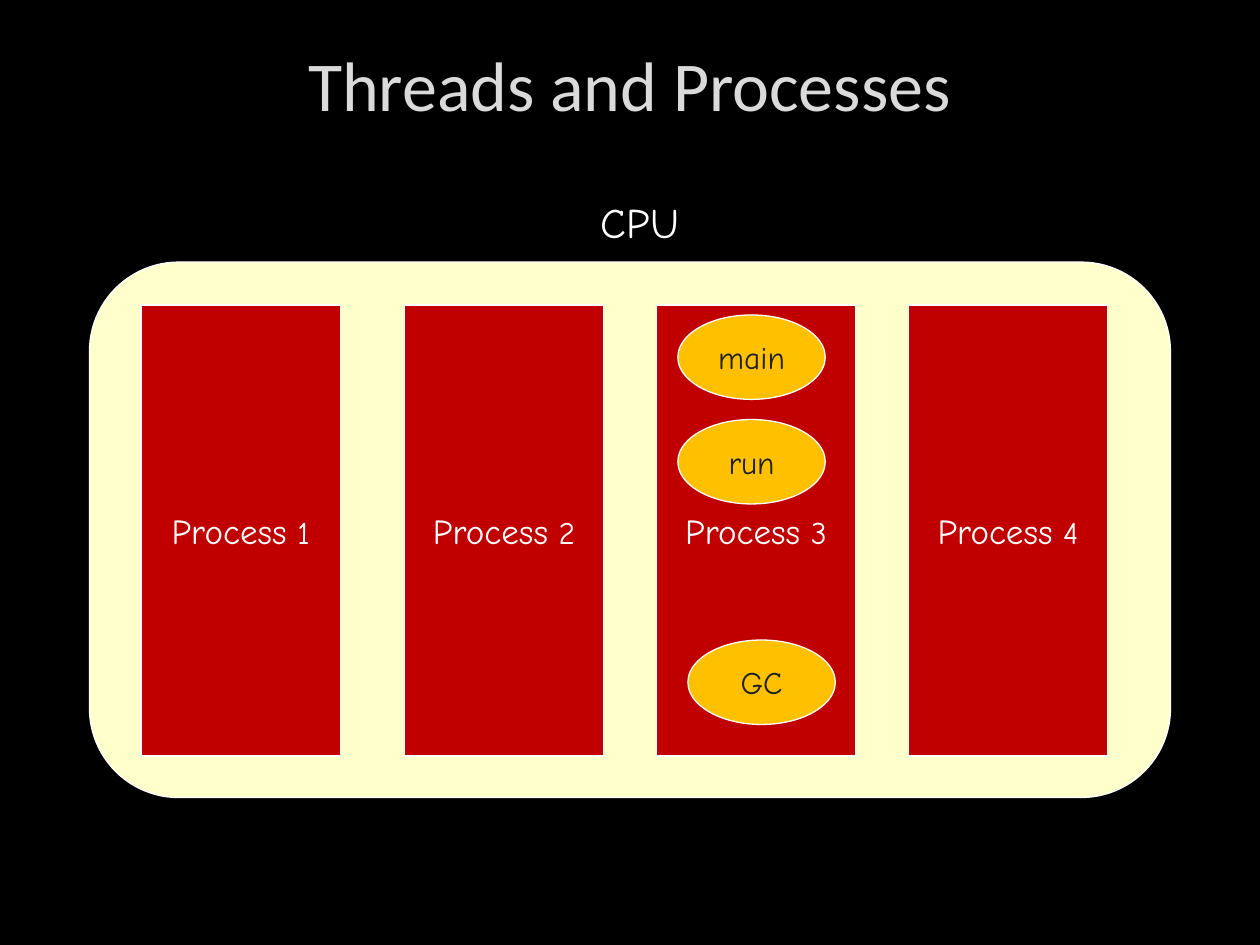
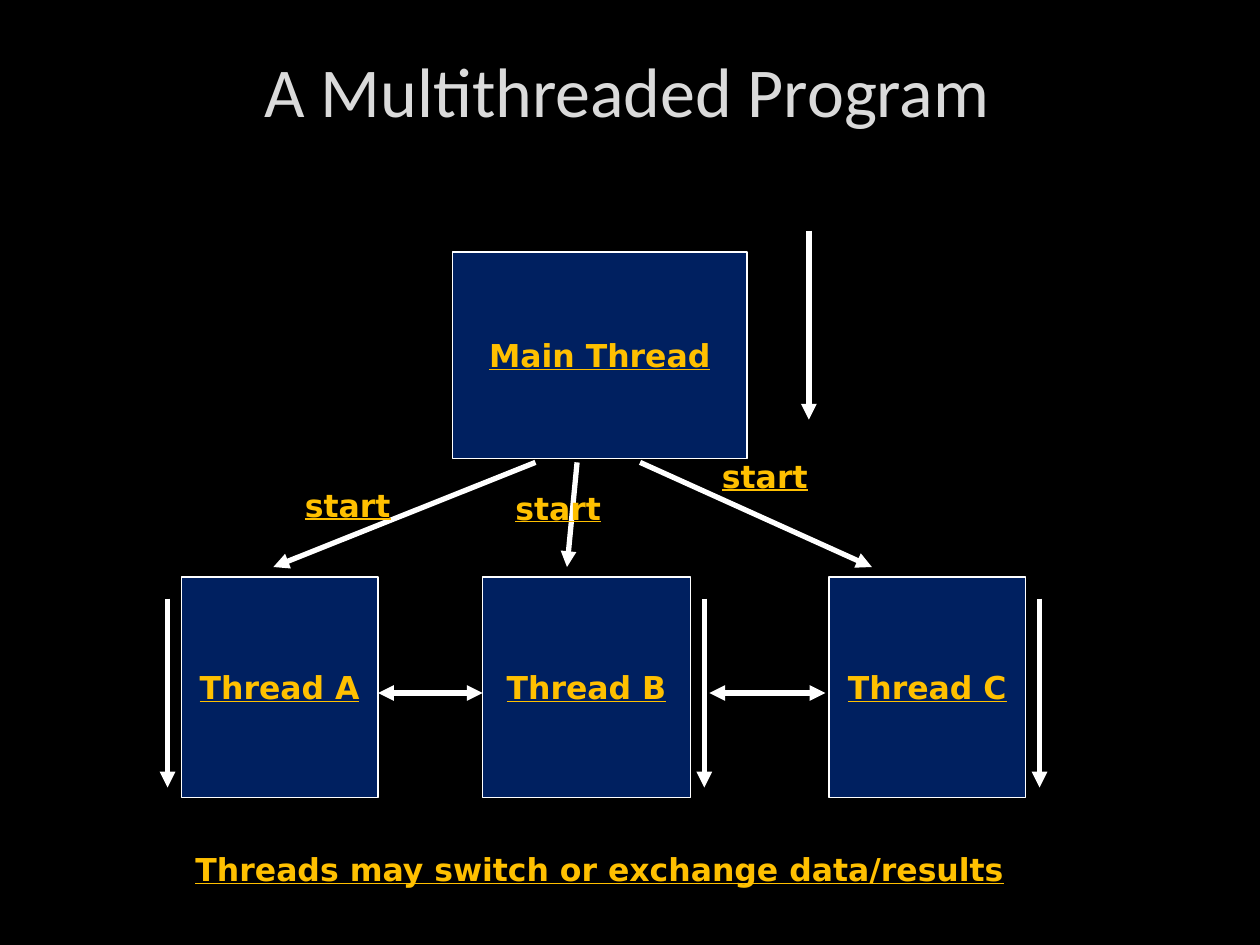
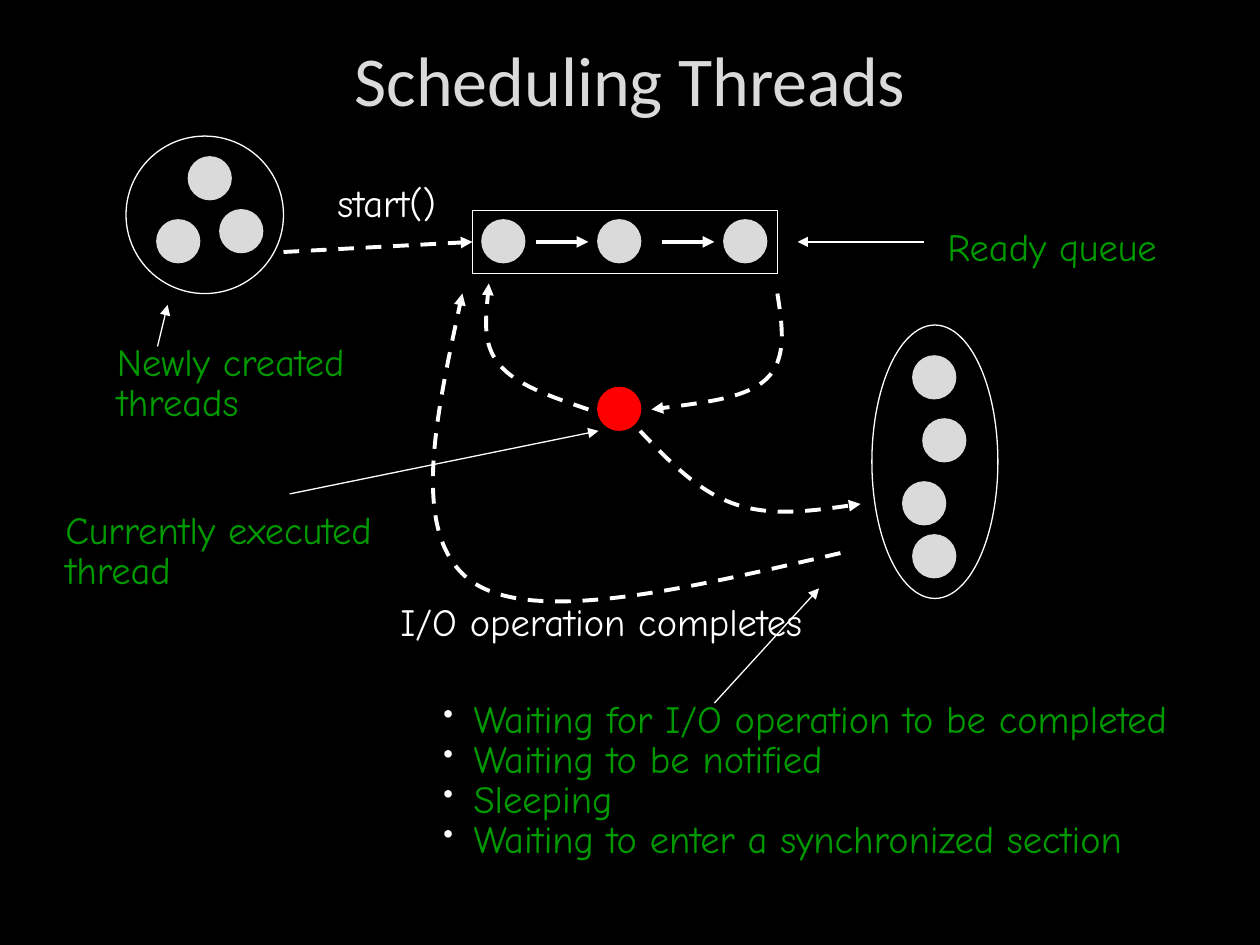
import pptx
import pptx.dml.color
import pptx.enum.dml
import pptx.enum.shapes
import pptx.enum.text
import pptx.oxml.ns
import pptx.util
from lxml import etree

Inches = pptx.util.Inches
Pt = pptx.util.Pt
qn = pptx.oxml.ns.qn
SHAPE = pptx.enum.shapes.MSO_SHAPE
ALIGN = pptx.enum.text.PP_ALIGN
ANCHOR = pptx.enum.text.MSO_ANCHOR
AUTO_SIZE = pptx.enum.text.MSO_AUTO_SIZE

BLACK, WHITE, GREY = "000000", "FFFFFF", "DADADA"
CREAM, CRIMSON, RED = "FFFFCC", "C00000", "FF0000"
AMBER, NAVY, GREEN, INK = "FFC000", "002060", "009900", "212123"


def text_style(color, name, size, **extra):
    return {"color": color, "name": name, "size": Pt(size), **extra}


TITLE = text_style(GREY, "Calibri", 40)
CPU = text_style(WHITE, "Comic Neue", 24)
PROCESS = text_style(WHITE, "Comic Neue", 20)
NUMBER = text_style(WHITE, "Comic Neue", 18)
TASK = text_style(INK, "Comic Neue", 18)
THREAD = text_style(AMBER, "DejaVu Sans", 18, bold=True, underline=True)
EVENT = text_style(WHITE, "Comic Neue", 22)
CAPTION = text_style(GREEN, "Comic Neue", 22)

CENTERED = {"alignment": ALIGN.CENTER}
TIGHT = {"line_spacing": 0.7, "space_before": Pt(4.4)}
DOT = 0.33


def rgb(value):
    return pptx.dml.color.RGBColor.from_string(value)


def apply(target, values):
    for key, value in values.items():
        if key == "color":
            target.color.rgb = rgb(value)
        else:
            setattr(target, key, value)


def add_span(para, text, style):
    span = para.add_run()
    span.text = text
    apply(span.font, style)


def write(frame, lines, style, layout):
    for index, line in enumerate(lines):
        para = frame.paragraphs[0] if index == 0 else frame.add_paragraph()
        apply(para, layout)
        add_span(para, line, style)


def add_bullet(para):
    props = para._p.get_or_add_pPr()
    props.set("marL", str(Inches(0.24)))
    props.set("indent", str(-Inches(0.24)))
    color = etree.SubElement(props, qn("a:buClr"))
    etree.SubElement(color, qn("a:srgbClr"), val=WHITE)
    etree.SubElement(props, qn("a:buSzPct"), val="75000")
    etree.SubElement(props, qn("a:buChar"), char="•")


def add_page(deck, title, left, top, width, height):
    page = deck.slides.add_slide(deck.slide_layouts[6])
    box = page.shapes.add_textbox(Inches(left), Inches(top), Inches(width), Inches(height))
    apply(box.text_frame, {"word_wrap": True, "vertical_anchor": ANCHOR.MIDDLE})
    write(box.text_frame, [title], TITLE, CENTERED)
    return page


def add_label(page, lines, left, top, width, height, style, layout):
    box = page.shapes.add_textbox(Inches(left), Inches(top), Inches(width), Inches(height))
    apply(box.text_frame, {"word_wrap": False, "auto_size": AUTO_SIZE.SHAPE_TO_FIT_TEXT})
    write(box.text_frame, lines, style, layout)
    return box


def add_block(page, kind, left, top, width, height, fill, text="", style=None,
              line=WHITE, weight=0.75):
    block = page.shapes.add_shape(kind, Inches(left), Inches(top), Inches(width), Inches(height))
    block.shadow.inherit = False
    block.fill.solid()
    block.fill.fore_color.rgb = rgb(fill)
    apply(block.line, {"color": line, "width": Pt(weight)})
    if text:
        apply(block.text_frame, {"word_wrap": False, "vertical_anchor": ANCHOR.MIDDLE})
        write(block.text_frame, [text], style, CENTERED)
    return block


def add_dot(page, left, top, color=GREY):
    add_block(page, SHAPE.OVAL, left, top, DOT, DOT, color, line=color, weight=1.5)


def style_arrow(arrow, weight, dashed, double=False):
    apply(arrow.line, {"color": WHITE, "width": Pt(weight)})
    if dashed:
        arrow.line.dash_style = pptx.enum.dml.MSO_LINE.DASH
    outline = arrow._element.spPr.find(qn("a:ln"))
    for end in ["a:headEnd", "a:tailEnd"] if double else ["a:tailEnd"]:
        etree.SubElement(outline, qn(end), type="triangle")


def add_arrow(page, start, end, weight, dashed=False, double=False):
    arrow = page.shapes.add_connector(
        pptx.enum.shapes.MSO_CONNECTOR.STRAIGHT, *map(Inches, start + end))
    style_arrow(arrow, weight, dashed, double)
    etree.SubElement(arrow._element.spPr, qn("a:effectLst"))
    return arrow


def add_curve(page, *points):
    start, *rest = [(Inches(x), Inches(y)) for x, y in points]
    builder = page.shapes.build_freeform(*start)
    builder.add_line_segments(rest, close=False)
    curve = builder.convert_to_shape()
    curve.shadow.inherit = False
    curve.fill.background()
    style_arrow(curve, 2.25, dashed=True)
    segments = list(curve._element.iter(qn("a:lnTo")))
    for first in range(0, len(segments), 3):
        bezier = etree.Element(qn("a:cubicBezTo"))
        segments[first].addprevious(bezier)
        for segment in segments[first:first + 3]:
            bezier.append(segment[0])
            segment.getparent().remove(segment)


def build_processes(deck):
    page = add_page(deck, "Threads and Processes", 0.75, 0.13, 8.49, 1.06)
    add_label(page, ["CPU"], 4.67, 1.51, 0.83, 0.5, CPU, {})
    add_block(page, SHAPE.ROUNDED_RECTANGLE, 0.71, 2.08, 8.58, 4.25, CREAM)
    for number, left in enumerate([1.12, 3.21, 5.21, 7.21], 1):
        block = add_block(page, SHAPE.RECTANGLE, left, 2.42, 1.58, 3.58, CRIMSON,
                          "Process", PROCESS)
        add_span(block.text_frame.paragraphs[0], f" {number}", NUMBER)
    for task, left, top in [("main", 5.38, 2.5), ("run", 5.38, 3.33), ("GC", 5.46, 5.08)]:
        add_block(page, SHAPE.OVAL, left, top, 1.17, 0.67, AMBER, task, TASK)


def build_program(deck):
    page = add_page(deck, "A Multithreaded Program", 0.17, 0.17, 9.61, 1.08)
    add_block(page, SHAPE.RECTANGLE, 3.59, 2, 2.34, 1.64, NAVY, "Main Thread", THREAD)
    for letter, left, width in [("A", 1.44, 1.56), ("B", 3.83, 1.65), ("C", 6.58, 1.56)]:
        add_block(page, SHAPE.RECTANGLE, left, 4.58, width, 1.75, NAVY,
                  f"Thread {letter}", THREAD)
    for start_x, end_x in [(4.25, 2.17), (4.58, 4.5), (5.08, 6.92)]:
        add_arrow(page, (start_x, 3.67), (end_x, 4.5), 3)
    for left, top in [(2.32, 3.81), (3.99, 3.83), (5.63, 3.58)]:
        add_label(page, ["start"], left, top, 0.88, 0.4, THREAD, CENTERED)
    for start_x, end_x in [(3, 3.83), (5.63, 6.55)]:
        add_arrow(page, (start_x, 5.5), (end_x, 5.5), 3, double=True)
    for x, top in [(6.42, 1.83), (8.25, 4.75), (5.59, 4.75), (1.33, 4.75)]:
        add_arrow(page, (x, top), (x, top + 1.5), 3)
    add_label(page, ["Threads may switch or exchange data/results"],
              1.39, 6.7, 6.74, 0.4, THREAD, CENTERED)


def build_scheduling(deck):
    page = add_page(deck, "Scheduling Threads", 0.75, 0, 8.5, 1.25)
    add_block(page, SHAPE.OVAL, 6.92, 2.58, 1, 2.17, BLACK)
    queue = add_block(page, SHAPE.RECTANGLE, 3.75, 1.67, 2.42, 0.5, BLACK)
    add_block(page, SHAPE.OVAL, 1, 1.08, 1.25, 1.25, BLACK)

    new_dots = [(1.25, 1.75), (1.5, 1.25), (1.75, 1.67)]
    ready_dots = [(3.83, 1.75), (4.75, 1.75), (5.75, 1.75)]
    waiting_dots = [(7.25, 2.83), (7.33, 3.33), (7.17, 3.83), (7.25, 4.25)]
    for left, top in new_dots + ready_dots + waiting_dots:
        add_dot(page, left, top)
    add_dot(page, 4.75, 3.08, RED)

    for x in [4.25, 5.25]:
        add_arrow(page, (x, 1.92), (x + 0.42, 1.92), 2.25)
    start_arrow = add_arrow(page, (2.25, 2), (3.75, 1.92), 2.25, dashed=True)
    start_arrow.end_connect(queue, 1)

    add_curve(page, (6.17, 2.33), (6.21, 2.59), (6.25, 2.85), (6.08, 3.01),
              (5.92, 3.16), (5.54, 3.2), (5.17, 3.25))
    add_curve(page, (5.08, 3.42), (5.31, 3.66), (5.54, 3.9), (5.83, 4),
              (6.12, 4.1), (6.48, 4.05), (6.83, 4))
    add_curve(page, (4.67, 3.25), (4.38, 3.15), (4.1, 3.06), (3.96, 2.89),
              (3.83, 2.73), (3.86, 2.49), (3.88, 2.25))
    add_curve(page, (6.67, 4.39), (5.46, 4.67), (4.25, 4.96), (3.75, 4.62),
              (3.25, 4.27), (3.46, 3.3), (3.67, 2.33))

    add_label(page, ["I/O operation completes"], 3.08, 4.8, 3.73, 0.36, EVENT, TIGHT)
    add_label(page, ["start()"], 2.58, 1.47, 1.16, 0.36, EVENT, TIGHT)
    add_label(page, ["Currently executed", "thread"], 0.42, 4.07, 2.97, 0.69, CAPTION, TIGHT)
    add_label(page, ["Ready queue"], 7.42, 1.82, 1.96, 0.36, CAPTION, TIGHT)
    add_label(page, ["Newly created", "threads"], 0.83, 2.73, 2.27, 0.69, CAPTION, TIGHT)
    reasons = add_label(page, [
        "Waiting for I/O operation to be completed",
        "Waiting to be notified",
        "Sleeping",
        "Waiting to enter a synchronized section",
    ], 3.42, 5.57, 6.44, 1.35, CAPTION, TIGHT)
    for para in reasons.text_frame.paragraphs:
        add_bullet(para)

    for start, end in [((2.3, 3.92), (4.75, 3.42)), ((7.33, 1.92), (6.33, 1.92)),
                       ((5.67, 5.58), (6.5, 4.67)), ((1.25, 2.75), (1.33, 2.42))]:
        add_arrow(page, start, end, 0.75)


def main():
    deck = pptx.Presentation()
    apply(deck, {"slide_width": Inches(10), "slide_height": Inches(7.5)})
    backdrop = deck.slide_master.background.fill
    backdrop.solid()
    backdrop.fore_color.rgb = rgb(BLACK)
    build_processes(deck)
    build_program(deck)
    build_scheduling(deck)
    deck.save("out.pptx")


if __name__ == "__main__":
    main()
